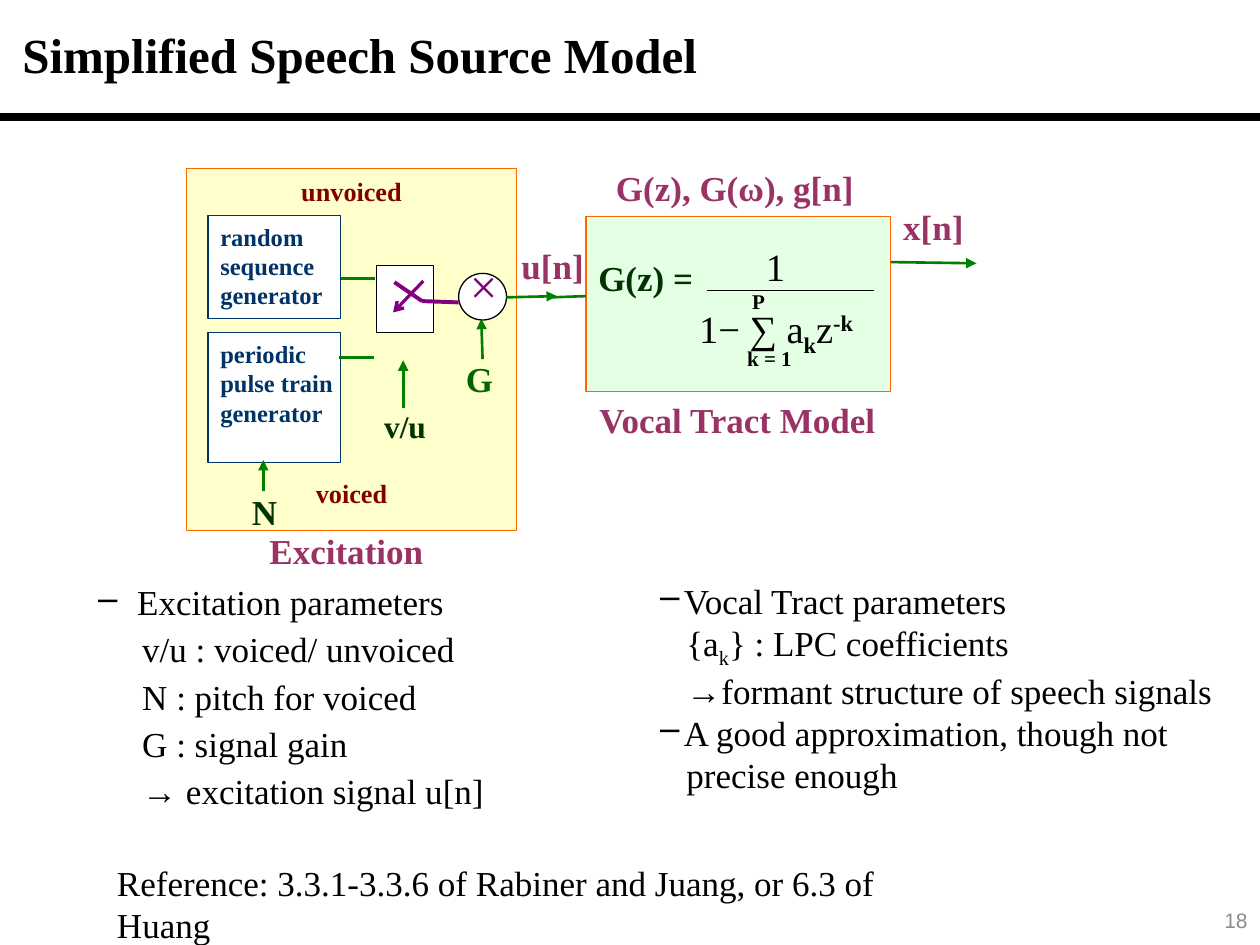
from lxml.etree import SubElement
from pptx import Presentation
from pptx.dml.color import RGBColor
from pptx.enum.shapes import MSO_CONNECTOR, MSO_SHAPE
from pptx.enum.text import MSO_ANCHOR, PP_ALIGN
from pptx.oxml.ns import qn
from pptx.util import Inches, Pt

rgb = RGBColor.from_string
BLACK, GREEN, DARK_GREEN = "000000", "008000", "003300"
NAVY, MAROON, PLUM, PURPLE = "003366", "800000", "993366", "800080"

prs = Presentation()
prs.slide_width, prs.slide_height = Inches(10), Inches(7.5)
slide = prs.slides.add_slide(prs.slide_layouts[6])

# Grid of 100 columns by 75 rows; all positions below are in cells
CELL = prs.slide_width / 100


def box(x, y, w, h, anchor=MSO_ANCHOR.TOP):
    s = slide.shapes.add_textbox(*(int(n * CELL) for n in (x, y, w, h)))
    tf = s.text_frame
    tf.word_wrap, tf.vertical_anchor = True, anchor
    return tf


def write(tf, text, size=20, color=BLACK, bold=False, font="Times New Roman",
          align=PP_ALIGN.LEFT, before=0, after=0, left=0, hang=0, bullet=None):
    """Add a paragraph; text is a string or a list of (text, baseline, bold)."""
    p = tf.paragraphs[0] if not tf.text else tf.add_paragraph()
    p.alignment, p.space_before, p.space_after = align, Pt(before), Pt(after)
    pPr = p._p.get_or_add_pPr()
    pPr.set("marL", str(int(left * CELL)))
    pPr.set("indent", str(int(-hang * CELL)))
    if bullet:
        SubElement(pPr, qn("a:buChar")).set("char", bullet)
    runs = [(text, 0, bold)] if isinstance(text, str) else text
    for part, baseline, heavy in runs:
        r = p.add_run()
        r.text = part
        r.font.name, r.font.size, r.font.bold = font, Pt(size), heavy
        r.font.color.rgb = rgb(color)
        if baseline:
            r._r.get_or_add_rPr().set("baseline", str(baseline * 1000))
    return p


# Title
tf = box(0.8, 0.8, 98.4, 7.5, MSO_ANCHOR.MIDDLE)
write(tf, "Simplified Speech Source Model", size=28, bold=True).line_spacing = 0.9

# Blocks: shape, x, y, w, h, fill, opacity in percent, line, text lines
RECT, OVAL = MSO_SHAPE.RECTANGLE, MSO_SHAPE.OVAL
blocks = [
    (RECT, 14.8, 13.4, 26.2, 28.7, "FFFF99", 50, "FF6600", []),
    (RECT, 46.5, 17.2, 24.2, 13.9, "CCFFCC", 50, "FF6600", []),
    (RECT, 16.5, 17.1, 10.5, 8.2, "FFFFFF", 100, NAVY,
     ["random", "sequence", "generator"]),
    (RECT, 16.5, 26.4, 10.5, 10.3, "FFFFFF", 100, NAVY,
     ["periodic pulse train", "generator"]),
    (RECT, 29.9, 21.1, 4.5, 5.3, "FFFFFF", 100, BLACK, []),
    (OVAL, 36.4, 21.7, 3.8, 3.7, "FFFFFF", 100, BLACK, []),
]
for kind, x, y, w, h, fill, opacity, line, lines in blocks:
    s = slide.shapes.add_shape(kind, *(int(n * CELL) for n in (x, y, w, h)))
    s.shadow.inherit = False
    s.fill.solid()
    s.fill.fore_color.rgb = rgb(fill)
    if opacity < 100:
        clr = s._element.spPr.find(qn("a:solidFill")).find(qn("a:srgbClr"))
        SubElement(clr, qn("a:alpha")).set("val", str(opacity * 1000))
    s.line.color.rgb, s.line.width = rgb(line), Pt(0.75)
    tf = s.text_frame
    tf.word_wrap, tf.vertical_anchor, tf.margin_right = True, MSO_ANCHOR.TOP, 0
    for text in lines:
        write(tf, text, size=14, color=NAVY, bold=True)

# Lines: from x, y, to x, y, colour, width, arrowhead
links = [
    (0, 9.3, 100, 9.3, BLACK, 4.5, None),               # title rule
    (40.2, 23.6, 44.2, 23.5, GREEN, 1.5, "triangle"),   # u[n]
    (43.8, 23.6, 46.5, 23.5, GREEN, 1.5, None),
    (70.7, 20.8, 77.5, 20.9, GREEN, 1.5, "triangle"),   # x[n]
    (27.1, 22.1, 29.8, 22.1, GREEN, 1.5, None),         # generators
    (26.9, 28.4, 29.7, 28.4, GREEN, 1.5, None),
    (33.6, 22.3, 31.2, 24.8, PURPLE, 1.8, "arrow"),     # switch
    (31.3, 22.4, 33.5, 23.9, PURPLE, 2.25, None),
    (33.5, 23.9, 36.4, 24, PURPLE, 2.25, None),
    (32, 32.4, 32, 28.6, GREEN, 1.5, "triangle"),       # v/u
    (20.9, 39, 20.9, 36.5, GREEN, 1.5, "triangle"),     # N
    (38.3, 28.5, 38.2, 25.3, GREEN, 1.5, "triangle"),   # G
    (69.4, 23, 56.1, 23, BLACK, 0.25, None),            # fraction bar
]
for x1, y1, x2, y2, color, width, head in links:
    s = slide.shapes.add_connector(
        MSO_CONNECTOR.STRAIGHT, *(int(n * CELL) for n in (x1, y1, x2, y2)))
    s.line.color.rgb, s.line.width = rgb(color), Pt(width)
    if head:
        SubElement(s.line._get_or_add_ln(), qn("a:tailEnd")).set("type", head)
    SubElement(s._element.spPr, qn("a:effectLst"))

# Diagram labels: text, x, y, w, h, size, colour, bold, alignment
LEFT, CENTER = PP_ALIGN.LEFT, PP_ALIGN.CENTER
labels = [
    ("unvoiced", 14.8, 13.4, 26.2, 3.5, 15, MAROON, True, CENTER),
    ("voiced", 14.8, 37.4, 26.2, 3.5, 15, MAROON, True, CENTER),
    ("×", 36.3, 19.8, 4.2, 5.2, 28, PURPLE, False, LEFT),
    ("x[n]", 70.7, 15.8, 7, 5.8, 20, PLUM, True, LEFT),
    ("u[n]", 40.4, 18.9, 7.2, 5, 20, PLUM, True, LEFT),
    ("G(z), G(ω), g[n]", 47.9, 12.7, 21.7, 5.8, 20, PLUM, True, LEFT),
    ("Vocal Tract Model", 46.6, 31.1, 25.3, 5.8, 20, PLUM, True, LEFT),
    ("Excitation", 20.4, 41.5, 15, 5.8, 20, PLUM, True, LEFT),
    ("G", 36, 27.9, 7, 5.8, 20, "006600", True, LEFT),
    ("v/u", 29.5, 31.8, 7, 5.8, 18, DARK_GREEN, True, LEFT),
    ("N", 17.5, 38.4, 7, 5.8, 20, DARK_GREEN, True, CENTER),
    ("G(z) =", 46.5, 19.9, 10, 4.5, 20, DARK_GREEN, True, LEFT),
]
for text, x, y, w, h, size, color, bold, align in labels:
    write(box(x, y, w, h), text, size=size, color=color, bold=bold, align=align)

# Transfer function
tf = box(54.5, 18.8, 15.8, 10)
write(tf, "1", size=22, left=5.3, after=9)
write(tf, [("1− ∑ a", 0, False), ("k", -25, True), ("z", 0, False),
           ("-k", 30, True)], size=22)

# Limits of the sum
tf = box(58.7, 22.8, 5.8, 8)
tf.margin_left = tf.margin_right = Inches(0.06)
tf.margin_top = tf.margin_bottom = Inches(0.01)
write(tf, "P", size=12, bold=True, left=0.4)
write(tf, "k = 1", size=12, bold=True, before=18)

# Excitation parameters
tf = box(0.9, 45.6, 47.2, 19)
write(tf, "Excitation parameters", left=9, hang=3.1, bullet="–")
for text in ("v/u : voiced/ unvoiced", "N : pitch for voiced",
             "G : signal gain", "→ excitation signal u[n]"):
    write(tf, text, left=9.4, before=3)

# Vocal tract parameters
tf = box(49.4, 45.5, 49.4, 17.7)
write(tf, "Vocal Tract parameters", left=3.9, hang=1.9, bullet="–")
write(tf, [("{a", 0, False), ("k", -25, False), ("} : LPC coefficients", 0, False)],
      left=4.1)
write(tf, "→formant structure of speech signals", left=4.1)
write(tf, "A good approximation, though not", left=3.9, hang=1.9, bullet="–")
write(tf, "precise enough", left=4.1)

# Reference and page number
write(box(8.3, 67.9, 70.1, 4.3),
      "Reference: 3.3.1-3.3.6 of Rabiner and Juang, or 6.3 of Huang")
write(box(77.5, 71, 22.5, 4, MSO_ANCHOR.MIDDLE), "18", size=12, color="8C8C8C",
      font="Arial", align=PP_ALIGN.RIGHT)

prs.save("out.pptx")
